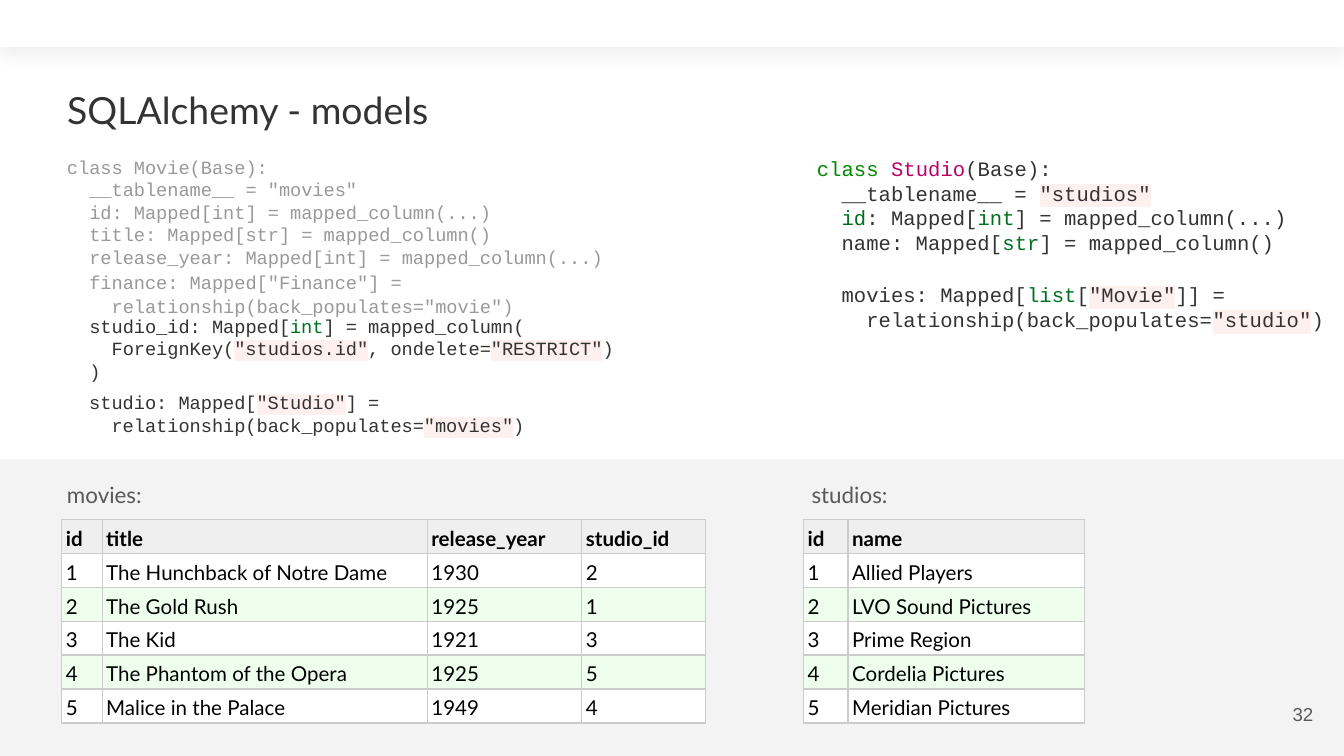
from dataclasses import dataclass

from lxml import etree
from pptx import Presentation
from pptx import util as u
from pptx.dml.color import RGBColor
from pptx.enum import shapes, text
from pptx.oxml import ns

COLUMNS, ROWS = 100, 56.25
LEFT, RIGHT = 4, 59.8
TABLE_TOP, ROW_HEIGHT = 38.65, 2.52


@dataclass(frozen=True)
class Theme:
    """Colours, fonts and type sizes of the slide."""
    ink: str = "333333"
    muted: str = "999999"
    label: str = "595959"
    black: str = "000000"
    white: str = "FFFFFF"
    panel: str = "F3F3F3"
    header: str = "EFEFEF"
    stripe: str = "EEFFEE"
    border: str = "CCCCCC"
    keyword: str = "008800"
    class_name: str = "BB0066"
    builtin: str = "007020"
    string_back: str = "FFF0F0"
    body: str = "Lato"
    mono: str = "Courier New"
    plain: str = "Arial"
    title_size: int = 20
    label_size: int = 12
    table_size: int = 11
    small_size: int = 10


THEME = Theme()
TOKENS = {"class": THEME.keyword, "Studio": THEME.class_name,
          **dict.fromkeys(("id", "int", "str", "list"), THEME.builtin)}


def add_element(parent, tag, position=None, **attributes):
    """Add a DrawingML child at a position, last by default."""
    element = etree.Element(ns.qn(tag), {key: str(value) for key, value in attributes.items()})
    parent.insert(len(parent) if position is None else position, element)
    return element


def add_color(parent, color):
    """Add an RGB colour element."""
    return add_element(parent, "a:srgbClr", val=color)


def write(paragraph, words, size, color=THEME.ink, font=THEME.body, bold=False,
          back=None, align=None, spacing=None):
    """Add a formatted run to a paragraph."""
    run = paragraph.add_run()
    run.text = words
    run.font.size = u.Pt(size)
    run.font.bold = bold
    run.font.color.rgb = RGBColor.from_string(color)
    if back:
        add_color(add_element(run.font._element, "a:highlight"), back)
    run.font.name = font
    if align is not None:
        paragraph.alignment = align
    if spacing:
        paragraph.line_spacing = spacing


class SlideBuilder:
    """Draws styled elements on one slide, measured in grid cells."""

    def __init__(self, presentation, theme):
        """Start a title-only slide."""
        self.theme = theme
        self.column = presentation.slide_width / COLUMNS
        self.row = presentation.slide_height / ROWS
        self.slide = presentation.slides.add_slide(presentation.slide_layouts[5])

    def place(self, left, top, width, height):
        """Turn grid cells into slide lengths."""
        return (u.Emu(round(left * self.column)), u.Emu(round(top * self.row)),
                u.Emu(round(width * self.column)), u.Emu(round(height * self.row)))

    def frame(self, shape, vertical_inset=0.1, anchor=text.MSO_ANCHOR.TOP):
        """Set wrapping, insets and anchor of a text frame."""
        frame = shape.text_frame
        frame.word_wrap = True
        frame.auto_size = text.MSO_AUTO_SIZE.NONE
        frame.vertical_anchor = anchor
        frame.margin_left = frame.margin_right = u.Inches(0.1)
        frame.margin_top = frame.margin_bottom = u.Inches(vertical_inset)
        return frame

    def title(self, words, *cells):
        """Move and fill the title placeholder."""
        shape = self.slide.shapes.title
        shape.left, shape.top, shape.width, shape.height = self.place(*cells)
        write(self.frame(shape, 0.05).paragraphs[0], words, self.theme.title_size,
              align=text.PP_ALIGN.LEFT)

    def band(self, color, *cells, shadow=False):
        """Draw a plain rectangle, with a soft shadow if asked."""
        shape = self.slide.shapes.add_shape(shapes.MSO_SHAPE.RECTANGLE, *self.place(*cells))
        shape.shadow.inherit = False
        shape.fill.solid()
        shape.fill.fore_color.rgb = RGBColor.from_string(color)
        shape.line.fill.background()
        if shadow:
            effects = shape._element.spPr.find(ns.qn("a:effectLst"))
            outer = add_element(effects, "a:outerShdw", blurRad=u.Pt(7.9), dist=u.Pt(3.8),
                                dir=92 * 60000, algn="bl", rotWithShape=0)
            add_element(add_color(outer, self.theme.black), "a:alpha", val=5000)

    def label(self, words, *cells, anchor=text.MSO_ANCHOR.TOP, **style):
        """Add one line of grey text."""
        box = self.slide.shapes.add_textbox(*self.place(*cells))
        write(self.frame(box, anchor=anchor).paragraphs[0], words,
              **{"size": self.theme.label_size, "color": self.theme.label, **style})

    def code(self, lines, *cells, size, color=THEME.ink, loose_from=None):
        """Add code lines, with bars between highlighted tokens."""
        frame = self.frame(self.slide.shapes.add_textbox(*self.place(*cells)))
        for index, line in enumerate(lines):
            paragraph = frame.paragraphs[0] if index == 0 else frame.add_paragraph()
            loose = loose_from is not None and index >= loose_from
            for token in line.split("|"):
                back = self.theme.string_back if token.startswith('"') else None
                write(paragraph, token, size, TOKENS.get(token, color), self.theme.mono,
                      back=back, spacing=1.11 if loose else 1.0)

    def table(self, left, widths, rows):
        """Add a striped table with a header row."""
        cells = self.place(left, TABLE_TOP, sum(widths), ROW_HEIGHT * len(rows))
        table = self.slide.shapes.add_table(len(rows), len(widths), *cells).table
        table.first_row = table.horz_banding = False
        for column, width in zip(table.columns, widths):
            column.width = round(width * self.column)
        for index, values in enumerate(rows):
            fill = (self.theme.white, self.theme.stripe)[index % 2 == 0] if index else self.theme.header
            for cell, value in zip(table.rows[index].cells, values):
                self.cell(cell, value, fill, bold=index == 0)

    def cell(self, cell, value, fill, bold):
        """Fill, border and write one table cell."""
        cell.margin_left = cell.margin_right = u.Inches(0.03)
        cell.margin_top = cell.margin_bottom = u.Inches(0.02)
        cell.vertical_anchor = text.MSO_ANCHOR.BOTTOM
        cell.fill.solid()
        cell.fill.fore_color.rgb = RGBColor.from_string(fill)
        properties = cell._tc.get_or_add_tcPr()
        for position, side in enumerate("LRTB"):
            line = add_element(properties, f"a:ln{side}", position, w=u.Pt(0.75))
            add_color(add_element(line, "a:solidFill"), self.theme.border)
        write(cell.text_frame.paragraphs[0], value, self.theme.table_size,
              self.theme.black, bold=bold, spacing=1.15)


MOVIE_FIELDS = ['class Movie(Base):', '  __tablename__ = "movies"',
                '  id: Mapped[int] = mapped_column(...)', '  title: Mapped[str] = mapped_column()',
                '  release_year: Mapped[int] = mapped_column(...)',
                '  finance: Mapped["Finance"] =', '    relationship(back_populates="movie")']
MOVIE_KEY = ['  studio_id: Mapped[|int|] = mapped_column(',
             '    ForeignKey(|"studios.id"|, ondelete=|"RESTRICT"|)', '  )']
MOVIE_LINK = ['  studio: Mapped[|"Studio"|] =', '    relationship(back_populates=|"movies"|)']
STUDIO_FIELDS = ['class| |Studio|(Base):', '  __tablename__ = |"studios"',
                 '  |id|: Mapped[|int|] = mapped_column(...)', '  name: Mapped[|str|] = mapped_column()']
STUDIO_LINK = ['  movies: Mapped[|list|[|"Movie"|]] =', '    relationship(back_populates=|"studio"|)']
MOVIES = [("id", "title", "release_year", "studio_id"),
          ("1", "The Hunchback of Notre Dame", "1930", "2"), ("2", "The Gold Rush", "1925", "1"),
          ("3", "The Kid", "1921", "3"), ("4", "The Phantom of the Opera", "1925", "5"),
          ("5", "Malice in the Palace", "1949", "4")]
STUDIOS = [("id", "name"), ("1", "Allied Players"), ("2", "LVO Sound Pictures"),
           ("3", "Prime Region"), ("4", "Cordelia Pictures"), ("5", "Meridian Pictures")]


def main():
    """Build and save the slide."""
    presentation = Presentation()
    presentation.slide_width, presentation.slide_height = u.Inches(10), u.Inches(5.625)
    builder = SlideBuilder(presentation, THEME)
    small, large = THEME.small_size, THEME.table_size
    builder.band(THEME.panel, 0, 34.2, COLUMNS, ROWS - 34.2)
    builder.band(THEME.white, 0, -0.4, COLUMNS, 3.9, shadow=True)
    builder.title("SQLAlchemy - models", LEFT, 6, 35.8, 4.6)
    builder.code(MOVIE_FIELDS, LEFT, 10.6, 50.5, 14, size=small, color=THEME.muted, loose_from=5)
    builder.code(MOVIE_KEY, LEFT, 22.4, 49.5, 7.1, size=small)
    builder.code(MOVIE_LINK, LEFT, 28.1, 43.7, 5.4, size=small)
    builder.code(STUDIO_FIELDS, RIGHT, 10.6, 38.9, 9.4, size=large)
    builder.code(STUDIO_LINK, RIGHT, 20, COLUMNS - RIGHT, 5.7, size=large)
    builder.label("movies:", LEFT, 34.8, 20.8, 4)
    builder.label("studios:", 59.4, 34.8, 19.7, 4)
    builder.table(4.6, (3, 24.2, 11.5, 9.2), MOVIES)
    builder.table(RIGHT, (3.3, 17.6), STUDIOS)
    builder.label("32", 92.7, 51, 6, 4.3, anchor=text.MSO_ANCHOR.MIDDLE, size=small,
                  font=THEME.plain, align=text.PP_ALIGN.RIGHT)
    presentation.save("out.pptx")


if __name__ == "__main__":
    main()
